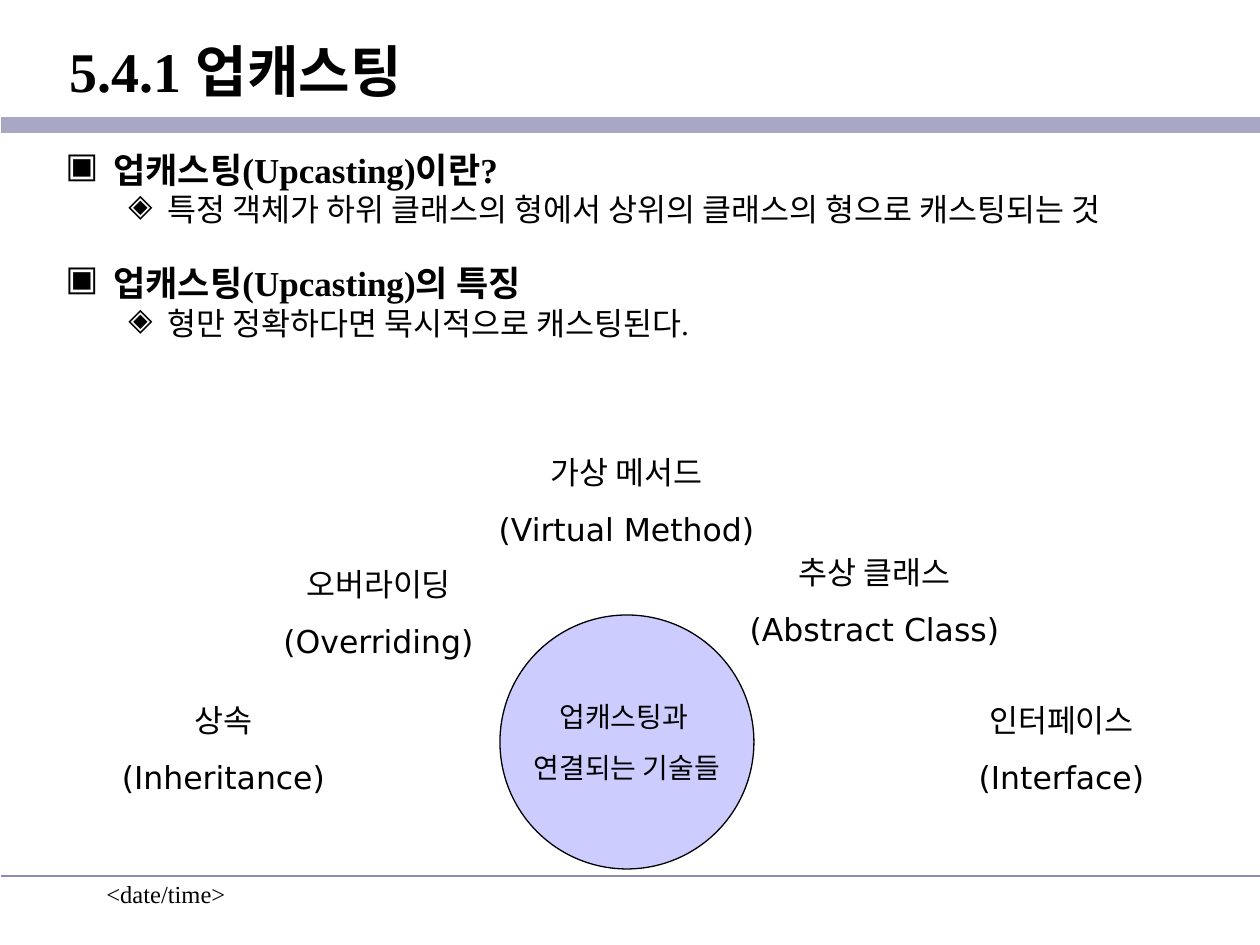
from lxml.etree import SubElement
from pptx import Presentation
from pptx.dml.color import RGBColor
from pptx.enum.shapes import MSO_CONNECTOR, MSO_SHAPE
from pptx.enum.text import MSO_ANCHOR, PP_ALIGN
from pptx.oxml.ns import qn
from pptx.util import Pt

EMU_PER_PX = 914400 / 126
SLIDE_WIDTH, SLIDE_HEIGHT = 1260, 945
SERIF, SANS = "Times New Roman", "DejaVu Sans"


def px(*lengths):
    return [round(length * EMU_PER_PX) for length in lengths]


def color(hex_string):
    return RGBColor.from_string(hex_string)


class SlideBuilder:
    """Holds the text style and the slide being filled."""

    text_color = "000000"
    line_spacing = 0.8
    bullet_size = "80%"
    levels = [
        {"bullet": "▣", "left": 48, "hanging": 48, "size": 20, "bold": True},
        {"bullet": "◈", "left": 102, "hanging": 39, "size": 18, "bold": False},
    ]

    def __init__(self, slide):
        self.slide = slide

    def add_text(self, paragraph, text, font_format, paragraph_format=None):
        for name, value in (paragraph_format or {}).items():
            setattr(paragraph, name, value)
        run = paragraph.add_run()
        run.text = text
        run.font.color.rgb = color(self.text_color)
        for name, value in font_format.items():
            setattr(run.font, name, value)

    def text_box(self, left, top, width, height, anchor=MSO_ANCHOR.TOP):
        frame = self.slide.shapes.add_textbox(*px(left, top, width, height)).text_frame
        frame.word_wrap = True
        frame.vertical_anchor = anchor
        return frame

    def rule(self, y, hex_color, weight):
        line = self.slide.shapes.add_connector(
            MSO_CONNECTOR.STRAIGHT, *px(1, y, SLIDE_WIDTH, y))
        line.line.color.rgb = color(hex_color)
        line.line.width = Pt(weight)
        SubElement(line._element.spPr, qn("a:effectLst"))

    def indent(self, paragraph, left, hanging=0):
        properties = paragraph._p.get_or_add_pPr()
        for name, length in zip(("marL", "indent"), px(left, -hanging)):
            properties.set(name, str(length))
        return properties

    def outline(self, frame, items):
        """Fill the frame with (level, space before, text) items as bullets."""
        for index, (level, space_before, text) in enumerate(items):
            paragraph = frame.add_paragraph() if index else frame.paragraphs[0]
            style = self.levels[level]
            paragraph.level = level
            properties = self.indent(paragraph, style["left"], style["hanging"])
            bullet_color = SubElement(properties, qn("a:buClr"))
            SubElement(bullet_color, qn("a:srgbClr"), val=self.text_color)
            SubElement(properties, qn("a:buSzPct"), val=self.bullet_size)
            SubElement(properties, qn("a:buChar"), char=style["bullet"])
            self.add_text(
                paragraph, text,
                {"name": SERIF, "size": Pt(style["size"]), "bold": style["bold"]},
                {"line_spacing": self.line_spacing, "space_before": Pt(space_before)})

    def circle(self, left, top, diameter, lines, size, space_before, fill=None):
        shape = self.slide.shapes.add_shape(
            MSO_SHAPE.OVAL, *px(left, top, diameter, diameter))
        shape.shadow.inherit = False
        if fill:
            shape.fill.solid()
            shape.fill.fore_color.rgb = color(fill)
            shape.line.color.rgb = color("000000")
            shape.line.width = Pt(0.75)
        else:
            shape.fill.background()
            shape.line.fill.background()
        frame = shape.text_frame
        frame.word_wrap = False
        frame.vertical_anchor = MSO_ANCHOR.MIDDLE
        for index, text in enumerate(lines):
            paragraph = frame.add_paragraph() if index else frame.paragraphs[0]
            self.add_text(
                paragraph, text, {"name": SANS, "size": Pt(size)},
                {"alignment": PP_ALIGN.CENTER,
                 "space_before": Pt(space_before if index else 0)})


def main():
    presentation = Presentation()
    presentation.slide_width, presentation.slide_height = px(SLIDE_WIDTH, SLIDE_HEIGHT)
    builder = SlideBuilder(presentation.slides.add_slide(presentation.slide_layouts[6]))

    date = builder.text_box(94, 873, 262, 63)
    builder.add_text(date.paragraphs[0], "<date/time>", {"name": SERIF, "size": Pt(14)})
    builder.rule(125, "A8A8C4", 9.25)
    builder.rule(876, "8C8CB2", 1)

    title = builder.text_box(1, 14, 1259, 113, MSO_ANCHOR.MIDDLE).paragraphs[0]
    builder.indent(title, 56)
    builder.add_text(title, "5.4.1 업캐스팅", {"name": SERIF, "size": Pt(32), "bold": True})

    builder.outline(builder.text_box(53, 150, 1154, 217), [
        (0, 0, "업캐스팅(Upcasting)이란?"),
        (1, 4.5, "특정 객체가 하위 클래스의 형에서 상위의 클래스의 형으로 캐스팅되는 것"),
        (0, 24, "업캐스팅(Upcasting)의 특징"),
        (1, 4.5, "형만 정확하다면 묵시적으로 캐스팅된다."),
    ])

    techniques = [
        (959, 646, "인터페이스", "(Interface)"),
        (276, 510, "오버라이딩", "(Overriding)"),
        (772, 498, "추상 클래스", "(Abstract Class)"),
        (524, 398, "가상 메서드", "(Virtual Method)"),
        (121, 646, "상속", "(Inheritance)"),
    ]
    for left, top, *lines in techniques:
        builder.circle(left, top, 205, lines, 18, 11.2)
    builder.circle(500, 615, 254, ["업캐스팅과 ", "연결되는 기술들"], 16, 10, "CCCCFF")

    presentation.save("out.pptx")


if __name__ == "__main__":
    main()
